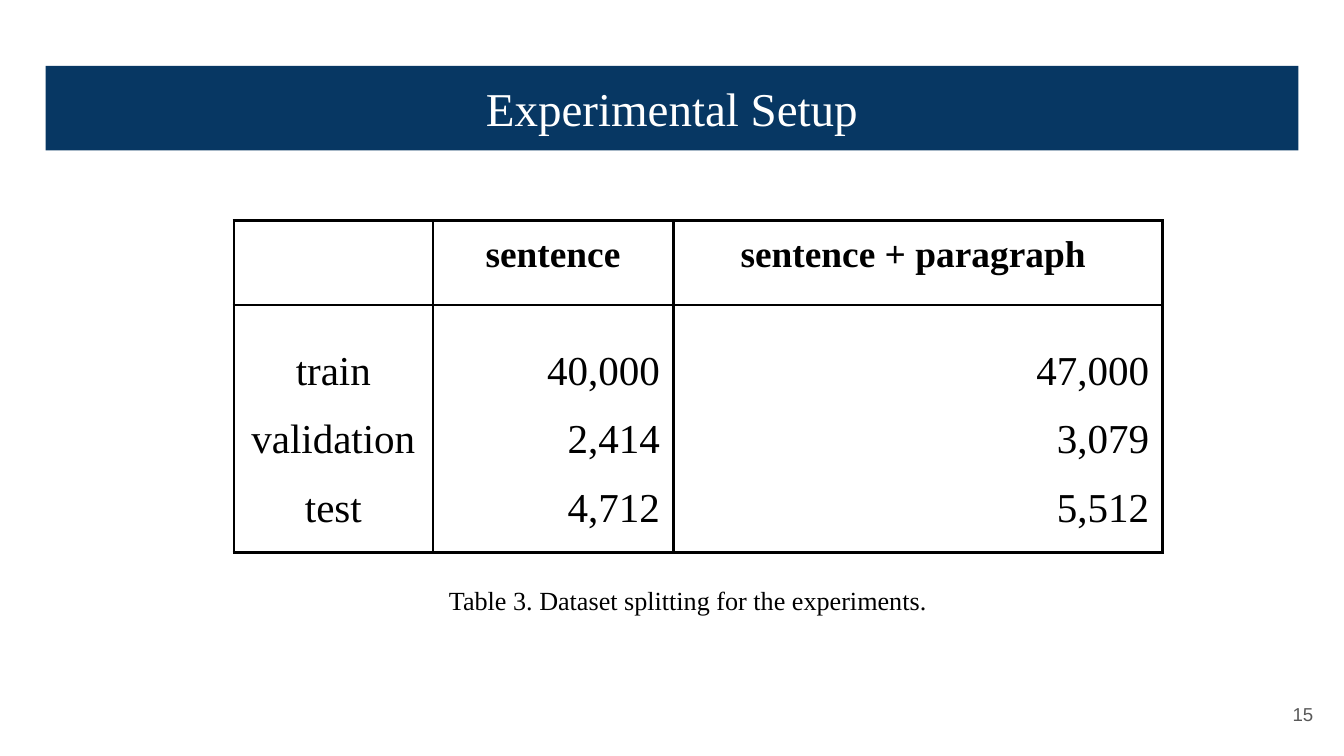
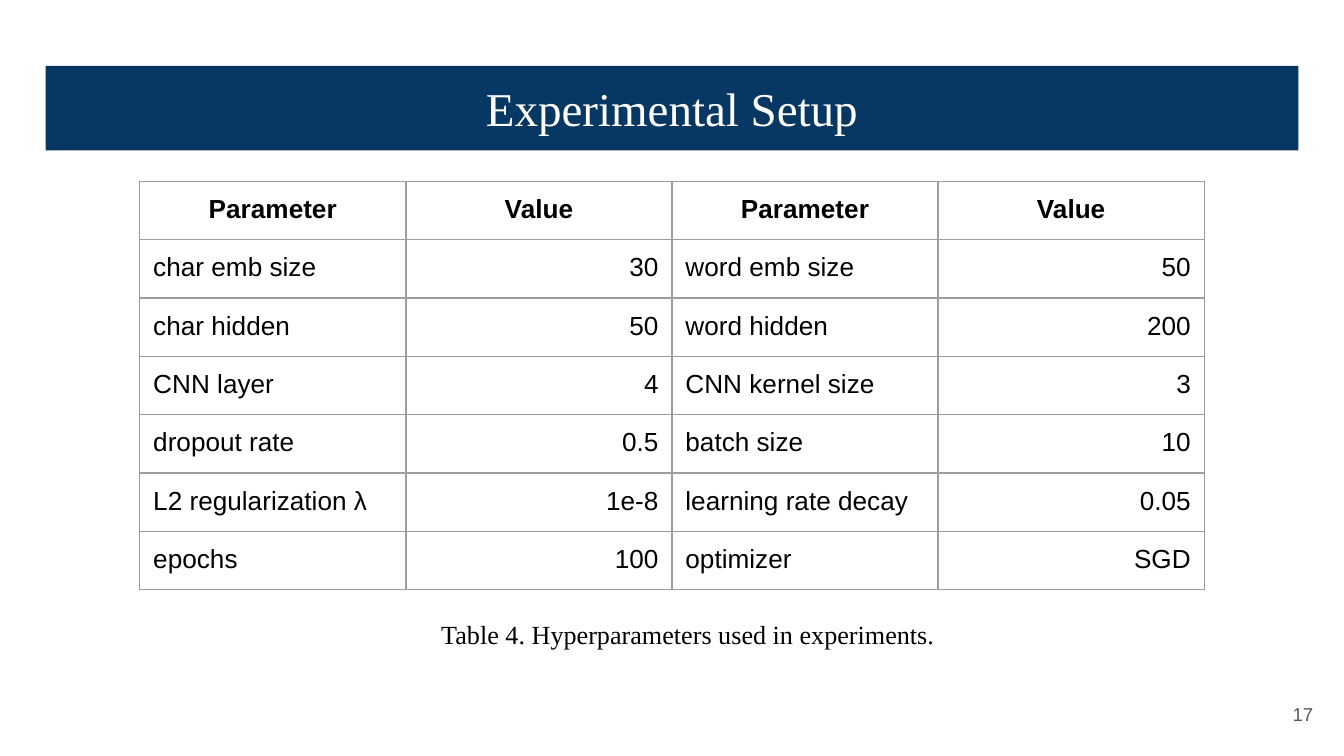
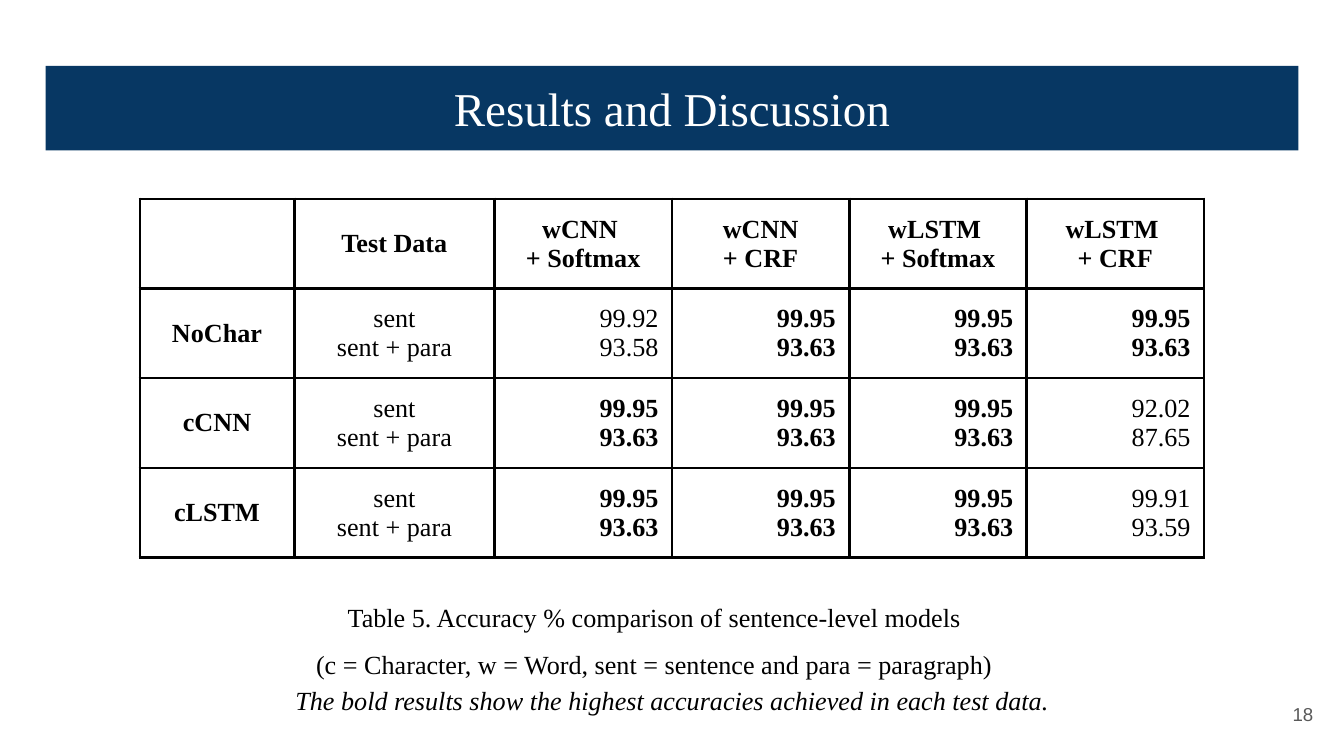
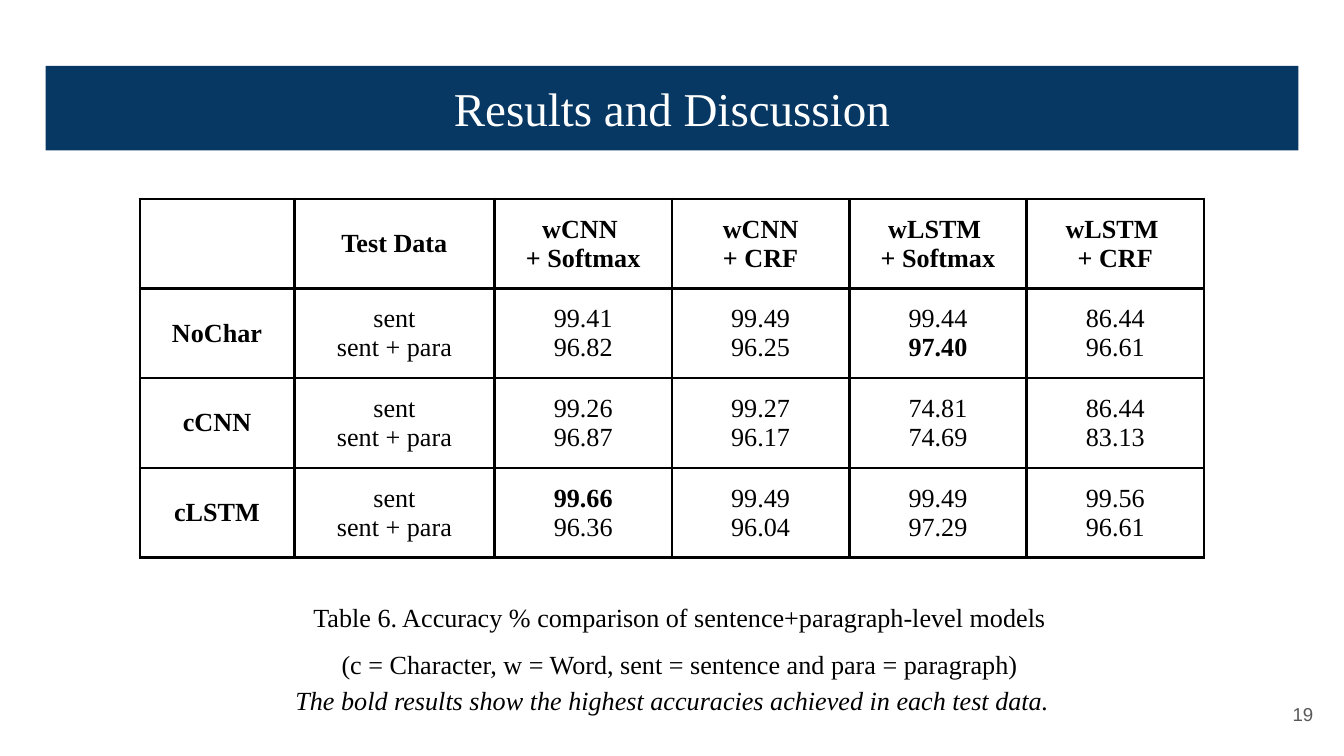
from dataclasses import dataclass

from lxml import etree
from pptx import Presentation
from pptx.dml.color import RGBColor
from pptx.enum.shapes import MSO_SHAPE
from pptx.enum.text import MSO_ANCHOR, PP_ALIGN
from pptx.oxml.ns import qn
from pptx.util import Inches, Pt

LEFT, CENTER, RIGHT = PP_ALIGN.LEFT, PP_ALIGN.CENTER, PP_ALIGN.RIGHT
TOP, MIDDLE = MSO_ANCHOR.TOP, MSO_ANCHOR.MIDDLE
RECTANGLE = MSO_SHAPE.RECTANGLE

SERIF, SANS = "Times New Roman", "Arial"
NAVY, WHITE, BLACK = "073763", "FFFFFF", "000000"
RULE_GRAY, NUMBER_GRAY = "9E9E9E", "595959"
SLIDE_WIDTH = Inches(10)
SLIDE_HEIGHT = SLIDE_WIDTH * 9 // 16
INSET = Inches(0.1)
BLANK_LAYOUT = 6


@dataclass(frozen=True)
class TextStyle:
    font: str = SERIF
    size: float = 14
    color: str = BLACK
    align: PP_ALIGN = CENTER
    anchor: MSO_ANCHOR = TOP
    bold: bool = False
    italic: bool = False
    spacing: float = 1.0


@dataclass(frozen=True)
class Box:
    left: float
    top: float
    width: float
    height: float


@dataclass(frozen=True)
class Cell:
    """A table cell; bold_lines adds bold to single lines."""
    text: str
    style: TextStyle
    bold_lines: tuple[int, ...] = ()


@dataclass(frozen=True)
class TableSpec:
    left: float
    top: float
    column_widths: list[float]
    row_heights: list[float]
    cells: list[list[Cell]]
    border_color: str = BLACK
    border_width: float = 1.5


TITLE_BOX = Box(0.34, 0.49, 9.32, 0.63)
NUMBER_BOX = Box(9.27, 5.1, 0.6, 0.43)
REMARK_BOX = Box(1.42, 4.99, 7.17, 0.44)

TITLE = TextStyle(size=25.2, color=WHITE)
PAGE_NUMBER = TextStyle(SANS, 10, NUMBER_GRAY, RIGHT, MIDDLE)
CAPTION = TextStyle()
WIDE_CAPTION = TextStyle(spacing=1.5)
REMARK = TextStyle(italic=True)

SPLIT_HEAD = TextStyle(size=20, bold=True)
SPLIT_LABEL = TextStyle(size=22, anchor=MIDDLE, spacing=1.5)
SPLIT_COUNT = TextStyle(size=22, align=RIGHT, anchor=MIDDLE, spacing=1.5)
PARAMETER_HEAD = TextStyle(SANS, bold=True)
PARAMETER_NAME = TextStyle(SANS, align=LEFT)
PARAMETER_VALUE = TextStyle(SANS, align=RIGHT)
RESULT_HEAD = TextStyle(anchor=MIDDLE, bold=True)
RESULT_LABEL = TextStyle(anchor=MIDDLE)
RESULT_RIGHT = TextStyle(align=RIGHT, anchor=MIDDLE)

HYPERPARAMETERS = [
    ("char emb size", "30", "word emb size", "50"),
    ("char hidden", "50", "word hidden", "200"),
    ("CNN layer", "4", "CNN kernel size", "3"),
    ("dropout rate", "0.5", "batch size", "10"),
    ("L2 regularization λ", "1e-8", "learning rate decay", "0.05"),
    ("epochs", "100", "optimizer", "SGD"),
]
RESULT_HEADINGS = ["", "Test Data", "wCNN \n+ Softmax", "wCNN\n+ CRF",
                   "wLSTM \n+ Softmax", "wLSTM \n+ CRF"]
# Each pair holds the accuracy on "sent" and on "sent + para".
SENTENCE_RESULTS = {
    "NoChar": [(99.92, 93.58), (99.95, 93.63), (99.95, 93.63), (99.95, 93.63)],
    "cCNN": [(99.95, 93.63), (99.95, 93.63), (99.95, 93.63), (92.02, 87.65)],
    "cLSTM": [(99.95, 93.63), (99.95, 93.63), (99.95, 93.63), (99.91, 93.59)],
}
PARAGRAPH_RESULTS = {
    "NoChar": [(99.41, 96.82), (99.49, 96.25), (99.44, 97.40), (86.44, 96.61)],
    "cCNN": [(99.26, 96.87), (99.27, 96.17), (74.81, 74.69), (86.44, 83.13)],
    "cLSTM": [(99.66, 96.36), (99.49, 96.04), (99.49, 97.29), (99.56, 96.61)],
}
ABBREVIATIONS = "(c = Character, w = Word, sent = sentence and para = paragraph)"
BOLD_REMARK = "The bold results show the highest accuracies achieved in each test data."


def rgb(color: str) -> RGBColor:
    return RGBColor.from_string(color)


def inches(box: Box) -> tuple:
    return tuple(map(Inches, (box.left, box.top, box.width, box.height)))


def write_text(frame, text: str, style: TextStyle, bold_lines: tuple[int, ...] = ()) -> None:
    """Fill a text frame with one paragraph per line of text."""
    for index, line in enumerate(text.split("\n")):
        paragraph = frame.paragraphs[0] if index == 0 else frame.add_paragraph()
        paragraph.text = line
        paragraph.alignment = style.align
        paragraph.line_spacing = style.spacing
        font = paragraph.font
        font.name, font.size = style.font, Pt(style.size)
        font.bold = style.bold or index in bold_lines
        font.italic = style.italic
        font.color.rgb = rgb(style.color)


def set_insets(target) -> None:
    """Give a text frame or a table cell the shared margins."""
    target.margin_left = target.margin_right = INSET
    target.margin_top = target.margin_bottom = INSET


def fill_frame(frame, text: str, style: TextStyle) -> None:
    frame.word_wrap = True
    frame.vertical_anchor = style.anchor
    set_insets(frame)
    write_text(frame, text, style)


def add_text(slide, box: Box, text: str, style: TextStyle) -> None:
    fill_frame(slide.shapes.add_textbox(*inches(box)).text_frame, text, style)


def add_title_band(slide, title: str) -> None:
    band = slide.shapes.add_shape(RECTANGLE, *inches(TITLE_BOX))
    band.shadow.inherit = False
    band.fill.solid()
    band.fill.fore_color.rgb = rgb(NAVY)
    band.line.fill.background()
    fill_frame(band.text_frame, title, TITLE)


def add_borders(table_cell, color: str, width: float) -> None:
    properties = table_cell._tc.get_or_add_tcPr()
    for side in ("lnL", "lnR", "lnT", "lnB"):
        line = etree.SubElement(properties, qn(f"a:{side}"), w=str(Pt(width)))
        fill = etree.SubElement(line, qn("a:solidFill"))
        etree.SubElement(fill, qn("a:srgbClr"), val=color)


def add_table(slide, spec: TableSpec) -> None:
    box = Box(spec.left, spec.top, sum(spec.column_widths), sum(spec.row_heights))
    table = slide.shapes.add_table(
        len(spec.row_heights), len(spec.column_widths), *inches(box)).table
    table.first_row = table.horz_banding = False
    for column, width in zip(table.columns, spec.column_widths):
        column.width = Inches(width)
    for row, height, cells in zip(table.rows, spec.row_heights, spec.cells):
        row.height = Inches(height)
        for table_cell, cell in zip(row.cells, cells):
            set_insets(table_cell)
            table_cell.vertical_anchor = cell.style.anchor
            add_borders(table_cell, spec.border_color, spec.border_width)
            table_cell.fill.background()
            write_text(table_cell.text_frame, cell.text, cell.style, cell.bold_lines)


def split_table() -> TableSpec:
    headings = ["", "sentence", "sentence + paragraph "]
    counts = ["40,000\n2,414\n4,712", "47,000\n3,079\n 5,512"]
    cells = [
        [Cell(heading, SPLIT_HEAD) for heading in headings],
        [Cell("train\nvalidation\ntest", SPLIT_LABEL)]
        + [Cell(count, SPLIT_COUNT) for count in counts],
    ]
    return TableSpec(1.74, 1.64, [1.48, 1.79, 3.64], [0.63, 1.84], cells)


def hyperparameter_table() -> TableSpec:
    cells = [[Cell(heading, PARAMETER_HEAD) for heading in ("Parameter", "Value") * 2]]
    styles = (PARAMETER_NAME, PARAMETER_VALUE) * 2
    for row in HYPERPARAMETERS:
        cells.append([Cell(text, style) for text, style in zip(row, styles)])
    return TableSpec(1.04, 1.35, [1.98] * 4, [0.42] * len(cells), cells, RULE_GRAY, 0.75)


def result_table(results: dict[str, list[tuple]], style: TextStyle) -> TableSpec:
    """Lay out accuracies, with the best of each test data in bold."""
    pairs = [pair for row in results.values() for pair in row]
    best = [max(column) for column in zip(*pairs)]
    cells = [[Cell(heading, RESULT_HEAD) for heading in RESULT_HEADINGS]]
    for model, row in results.items():
        line = [Cell(model, RESULT_HEAD), Cell("sent\nsent + para", RESULT_LABEL)]
        for pair in row:
            text = "\n".join(f"{value:.2f}" for value in pair)
            winners = tuple(i for i, value in enumerate(pair) if value == best[i])
            line.append(Cell(text, style, winners))
        cells.append(line)
    return TableSpec(1.04, 1.48, [1.15, 1.49] + [1.32] * 4, [0.42] * len(cells), cells)


def add_table_slide(presentation, number: int, title: str, table: TableSpec,
                    caption: str, caption_box: Box, caption_style: TextStyle = CAPTION):
    slide = presentation.slides.add_slide(presentation.slide_layouts[BLANK_LAYOUT])
    add_title_band(slide, title)
    add_table(slide, table)
    add_text(slide, caption_box, caption, caption_style)
    add_text(slide, NUMBER_BOX, str(number), PAGE_NUMBER)
    return slide


def add_result_slide(presentation, number: int, table: TableSpec,
                     caption: str, caption_box: Box) -> None:
    slide = add_table_slide(presentation, number, "Results and Discussion", table,
                            f"{caption}\n{ABBREVIATIONS}", caption_box, WIDE_CAPTION)
    add_text(slide, REMARK_BOX, BOLD_REMARK, REMARK)


def main() -> None:
    presentation = Presentation()
    presentation.slide_width = SLIDE_WIDTH
    presentation.slide_height = SLIDE_HEIGHT

    add_table_slide(presentation, 15, "Experimental Setup", split_table(),
                    "Table 3. Dataset splitting for the experiments.",
                    Box(2.33, 4.25, 5.58, 0.44))
    add_table_slide(presentation, 17, "Experimental Setup", hyperparameter_table(),
                    "Table 4. Hyperparameters used in experiments.",
                    Box(2.33, 4.5, 5.58, 0.44))
    add_result_slide(presentation, 18, result_table(SENTENCE_RESULTS, RESULT_RIGHT),
                     "Table 5. Accuracy % comparison of sentence-level models",
                     Box(2.08, 4.26, 5.58, 0.79))
    add_result_slide(presentation, 19, result_table(PARAGRAPH_RESULTS, RESULT_LABEL),
                     "Table 6. Accuracy % comparison of sentence+paragraph-level models",
                     Box(1.91, 4.26, 6.3, 0.79))
    presentation.save("out.pptx")


if __name__ == "__main__":
    main()
